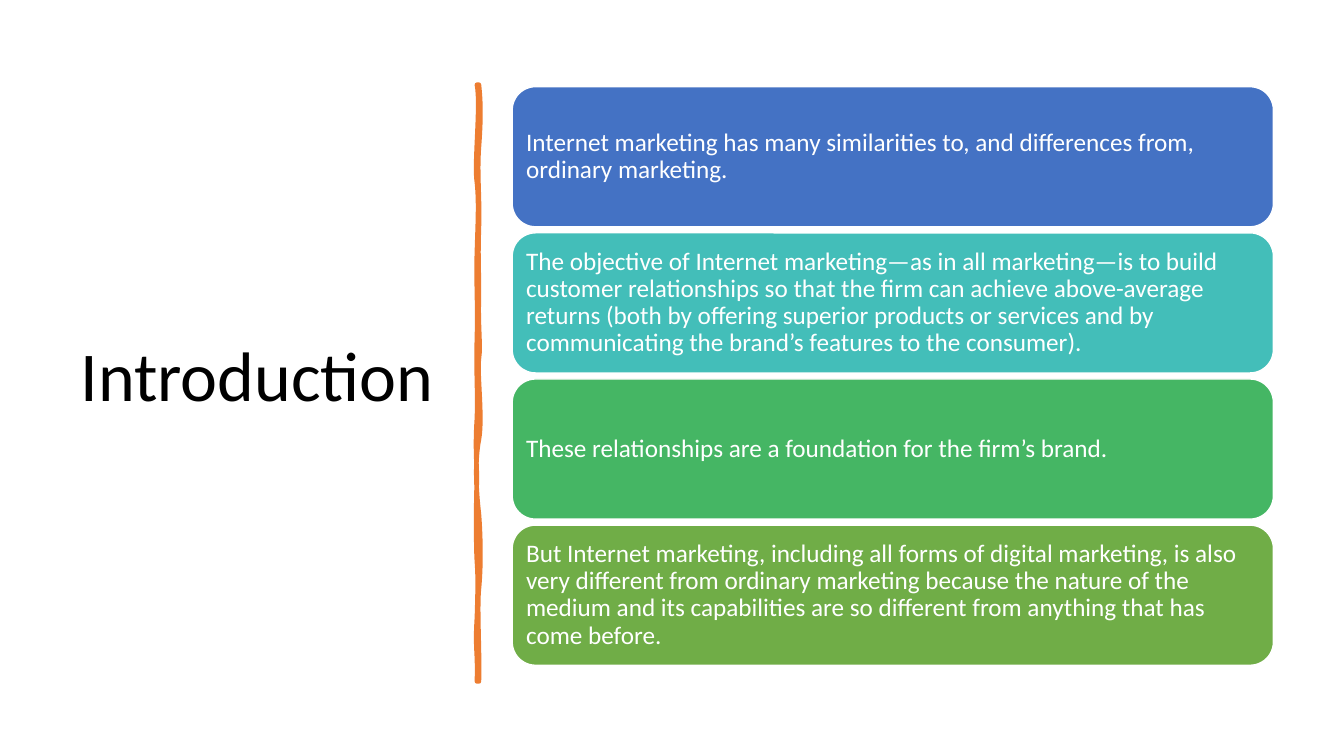
from lxml import etree
from pptx import Presentation
from pptx.dml.color import RGBColor
from pptx.enum.shapes import MSO_SHAPE
from pptx.enum.text import MSO_ANCHOR, PP_ALIGN
from pptx.oxml.ns import qn
from pptx.util import Inches, Pt

ROUND = MSO_SHAPE.ROUNDED_RECTANGLE
MIDDLE = MSO_ANCHOR.MIDDLE
LEFT = PP_ALIGN.LEFT
BLACK = RGBColor(0, 0, 0)
WHITE = RGBColor(255, 255, 255)
ORANGE = RGBColor(0xED, 0x7D, 0x31)
BLUE = RGBColor(0x44, 0x72, 0xC4)
TEAL = RGBColor(0x43, 0xBE, 0xB9)
GREEN = RGBColor(0x45, 0xB6, 0x64)
OLIVE = RGBColor(0x70, 0xAD, 0x47)


def put_text(shape, text, size, color):
    frame = shape.text_frame
    frame.word_wrap = True
    frame.vertical_anchor = MIDDLE
    frame.text = text
    para = frame.paragraphs[0]
    para.alignment = LEFT
    para.line_spacing = 0.9
    font = para.runs[0].font
    font.name = "Calibri"
    font.size = Pt(size)
    font.color.rgb = color


prs = Presentation()
prs.slide_width = Inches(13.33)
prs.slide_height = Inches(7.5)
slide = prs.slides.add_slide(prs.slide_layouts[6])
shapes = slide.shapes

# Title
title = shapes.add_textbox(Inches(0.7), Inches(0.7), Inches(3.74), Inches(6.11))
put_text(title, "Introduction", 50, BLACK)

# Hand-drawn divider: Bezier curves, two control points and an end point each
START = (4.75, 0.84)
CURVES = [
    # Right edge, downwards
    ((4.77, 1.02), (4.77, 1.19), (4.75, 1.46)),
    ((4.73, 1.73), (4.76, 1.95), (4.75, 2.26)),
    ((4.74, 2.57), (4.75, 2.62), (4.75, 2.94)),
    ((4.74, 3.25), (4.77, 3.42), (4.75, 3.56)),
    ((4.73, 3.7), (4.79, 4.14), (4.75, 4.36)),
    ((4.71, 4.57), (4.72, 4.84), (4.75, 5.1)),
    ((4.77, 5.36), (4.77, 5.64), (4.75, 5.84)),
    ((4.73, 6.03), (4.76, 6.5), (4.75, 6.76)),
    # Left edge, upwards
    ((4.74, 6.76), (4.73, 6.76), (4.73, 6.76)),
    ((4.74, 6.46), (4.71, 6.44), (4.73, 6.13)),
    ((4.74, 5.83), (4.74, 5.7), (4.73, 5.57)),
    ((4.72, 5.44), (4.72, 4.95), (4.73, 4.77)),
    ((4.73, 4.59), (4.71, 4.45), (4.73, 4.15)),
    ((4.74, 3.86), (4.72, 3.73), (4.73, 3.35)),
    ((4.74, 2.98), (4.72, 2.81), (4.73, 2.5)),
    ((4.74, 2.18), (4.75, 2), (4.73, 1.81)),
    ((4.7, 1.63), (4.77, 1.04), (4.73, 0.84)),
]
pen = shapes.build_freeform(Inches(START[0]), Inches(START[1]))
pen.add_line_segments([(Inches(x), Inches(y)) for _, _, (x, y) in CURVES])
rule = pen.convert_to_shape()
rule.shadow.inherit = False
rule.fill.solid()
rule.fill.fore_color.rgb = ORANGE
rule.line.color.rgb = ORANGE
rule.line.width = Pt(3.25)

# Bend each straight segment of the divider into its curve
for part, curve in zip(list(rule.element.iter(qn("a:lnTo"))), CURVES):
    part.tag = qn("a:cubicBezTo")
    part.clear()
    for x, y in curve:
        point = etree.SubElement(part, qn("a:pt"))
        point.set("x", str(Inches(x) - rule.left))
        point.set("y", str(Inches(y) - rule.top))

# Stacked statement cards
CARDS = [
    (BLUE, "Internet marketing has many similarities to, and differences from, "
           "ordinary marketing."),
    (TEAL, "The objective of Internet marketing—as in all marketing—is to build "
           "customer relationships so that the firm can achieve above-average "
           "returns (both by offering superior products or services and by "
           "communicating the brand’s features to the consumer)."),
    (GREEN, "These relationships are a foundation for the firm’s brand."),
    (OLIVE, "But Internet marketing, including all forms of digital marketing, "
            "is also very different from ordinary marketing because the nature "
            "of the medium and its capabilities are so different from anything "
            "that has come before."),
]
TOP, PITCH = 0.86, 1.45
for row, (color, text) in enumerate(CARDS):
    card = shapes.add_shape(ROUND, Inches(5.08), Inches(TOP + row * PITCH),
                            Inches(7.55), Inches(1.39))
    card.shadow.inherit = False
    card.fill.solid()
    card.fill.fore_color.rgb = color
    card.line.color.rgb = WHITE
    card.line.width = Pt(1)
    put_text(card, text, 18, WHITE)
    frame = card.text_frame
    frame.margin_left = frame.margin_right = Inches(0.07)
    frame.margin_top = frame.margin_bottom = Inches(0.07)

prs.save("out.pptx")
